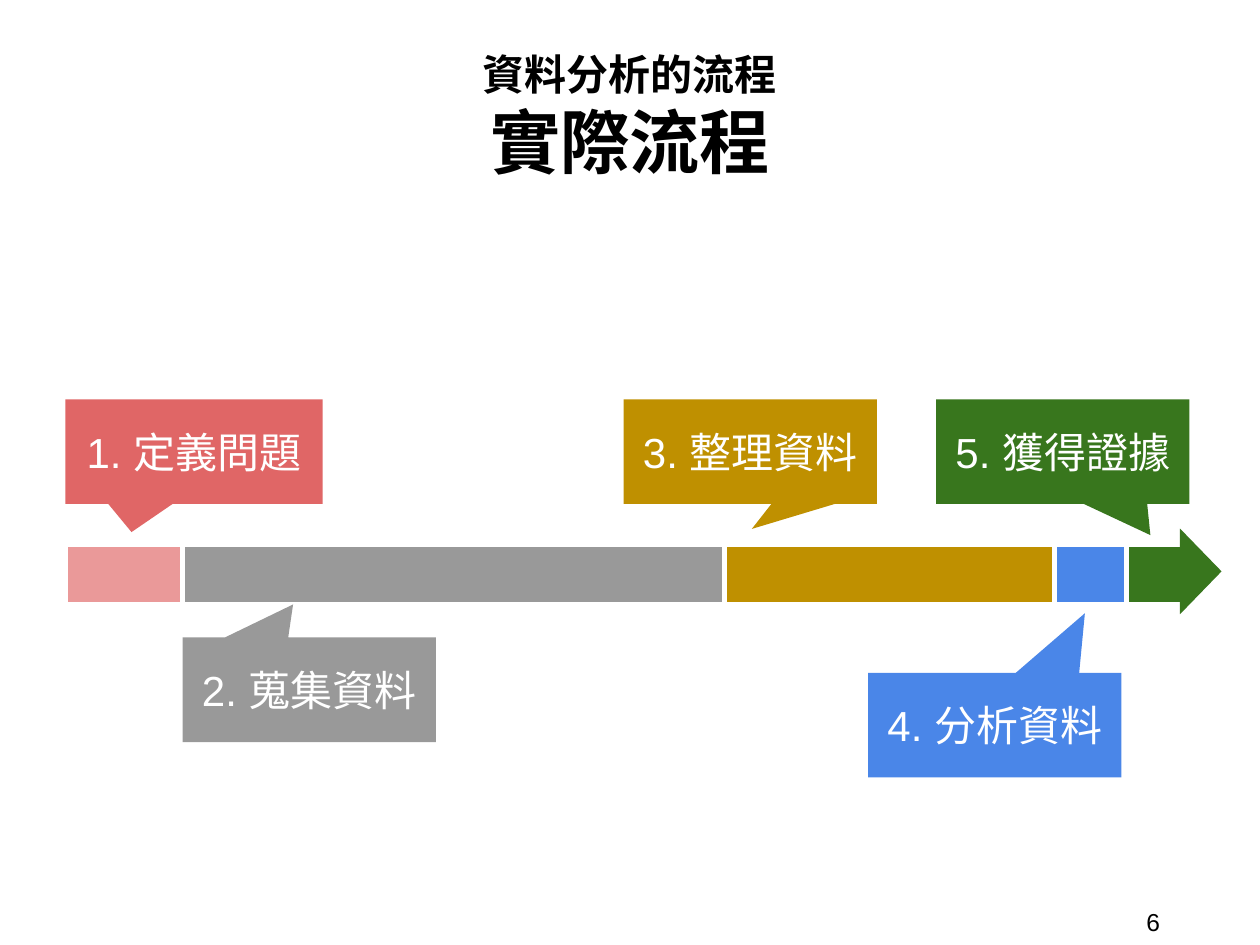
from lxml import etree
from pptx import Presentation
from pptx.dml.color import RGBColor
from pptx.enum.shapes import MSO_SHAPE
from pptx.enum.text import MSO_ANCHOR, PP_ALIGN
from pptx.oxml.ns import qn
from pptx.util import Inches, Pt

CALLOUT = MSO_SHAPE.ROUNDED_RECTANGULAR_CALLOUT
TRIANGLE = MSO_SHAPE.ISOSCELES_TRIANGLE
CENTER, LEFT = PP_ALIGN.CENTER, PP_ALIGN.LEFT
MIDDLE, BOTTOM = MSO_ANCHOR.MIDDLE, MSO_ANCHOR.BOTTOM
COLORS = {
    "black": "000000", "white": "FFFFFF", "pink": "EA9999", "red": "E06666",
    "gray": "999999", "gold": "BF9000", "blue": "4A86E8", "green": "38761D",
}
CJK = "Noto Sans CJK TC"
STEPS = [
    ("1. 定義問題", "red", (0.52, 3.17, 2.04, 0.83), (-0.243, 0.769, 0)),
    ("2. 蒐集資料", "gray", (1.45, 5.06, 2.01, 0.83), (-0.064, -0.816, 0)),
    ("3. 整理資料", "gold", (4.95, 3.17, 2.01, 0.83), (0.006, 0.739, 0)),
    ("4. 分析資料", "blue", (6.89, 5.34, 2.01, 0.83), (0.356, -1.07, 0)),
    ("5. 獲得證據", "green", (7.43, 3.17, 2.01, 0.83), (0.346, 0.798, 0)),
]
PHASES = [("pink", 0.93), ("gray", 4.3), ("gold", 2.62), ("blue", 0.57), ("green", 0.5)]


def rgb(name):
    """Return the named colour."""
    return RGBColor.from_string(COLORS[name])


def add_run(p, text, size, color, font="Arial", bold=False):
    """Append a styled run with a CJK companion font."""
    r = p.add_run()
    r.text = text
    r.font.size, r.font.name, r.font.bold = Pt(size), font, bold
    r.font.color.rgb = rgb(color)
    etree.SubElement(r.font._element, qn("a:ea")).set("typeface", CJK)


def set_frame(tf, anchor, inset_x, inset_y):
    """Set wrapping, anchor and insets of a text frame."""
    tf.word_wrap, tf.vertical_anchor = True, anchor
    tf.margin_left = tf.margin_right = Inches(inset_x)
    tf.margin_top = tf.margin_bottom = Inches(inset_y)


def add_filled(slide, kind, box, color):
    """Add a flat preset shape without outline."""
    sp = slide.shapes.add_shape(kind, *map(Inches, box))
    sp.shadow.inherit = False
    sp.fill.solid()
    sp.fill.fore_color.rgb = rgb(color)
    sp.line.fill.background()
    return sp


def add_title(slide, box):
    """Add the two-line heading."""
    tf = slide.shapes.add_textbox(*map(Inches, box)).text_frame
    set_frame(tf, BOTTOM, 0.1, 0.1)
    for i, (text, size) in enumerate([("資料分析的流程", 24), ("實際流程", 40)]):
        p = tf.add_paragraph() if i else tf.paragraphs[0]
        p.alignment = CENTER
        add_run(p, text, size, "black", CJK, True)


def add_page_number(slide, box):
    """Add the page number."""
    tf = slide.shapes.add_textbox(*map(Inches, box)).text_frame
    set_frame(tf, MIDDLE, 0.1, 0.05)
    tf.paragraphs[0].alignment = LEFT
    add_run(tf.paragraphs[0], "6", 14, "black")


def set_borders(cell, color, width):
    """Draw all four borders of a cell."""
    tc_pr = cell._tc.get_or_add_tcPr()
    for i, side in enumerate(("lnL", "lnR", "lnT", "lnB")):
        ln = etree.Element(qn(f"a:{side}"), w=str(Pt(width)))
        fill = etree.SubElement(ln, qn("a:solidFill"))
        etree.SubElement(fill, qn("a:srgbClr"), val=COLORS[color])
        tc_pr.insert(i, ln)


def add_timeline(slide, box):
    """Add the phase bar with its arrow tip."""
    left, top, width, height = box
    table = slide.shapes.add_table(1, len(PHASES), *map(Inches, box)).table
    table.first_row = table.horz_banding = False
    table.rows[0].height = Inches(height)
    for i, (color, phase_width) in enumerate(PHASES):
        table.columns[i].width = Inches(phase_width)
        cell = table.cell(0, i)
        cell.fill.solid()
        cell.fill.fore_color.rgb = rgb(color)
        cell.text_frame.paragraphs[0].font.size = Pt(14)
        set_borders(cell, "white", 3)
    tip_box = (left + width - 0.25, top + 0.05, 0.68, 0.33)
    add_filled(slide, TRIANGLE, tip_box, "green").rotation = 90


def add_step(slide, label, color, box, pointer):
    """Add one numbered step callout."""
    sp = add_filled(slide, CALLOUT, box, color)
    for i, value in enumerate(pointer):
        sp.adjustments[i] = value
    set_frame(sp.text_frame, MIDDLE, 0.1, 0.1)
    p = sp.text_frame.paragraphs[0]
    p.alignment = CENTER
    add_run(p, label, 24, "white")


def main():
    """Build and save the slide."""
    prs = Presentation()
    prs.slide_width, prs.slide_height = Inches(10), Inches(7.5)
    slide = prs.slides.add_slide(prs.slide_layouts[6])
    add_title(slide, (0.52, 0.19, 8.96, 1.36))
    add_page_number(slide, (9, 7.17, 0.92, 0.29))
    add_timeline(slide, (0.52, 4.32, 8.92, 0.48))
    for step in STEPS:
        add_step(slide, *step)
    prs.save("out.pptx")


if __name__ == "__main__":
    main()
